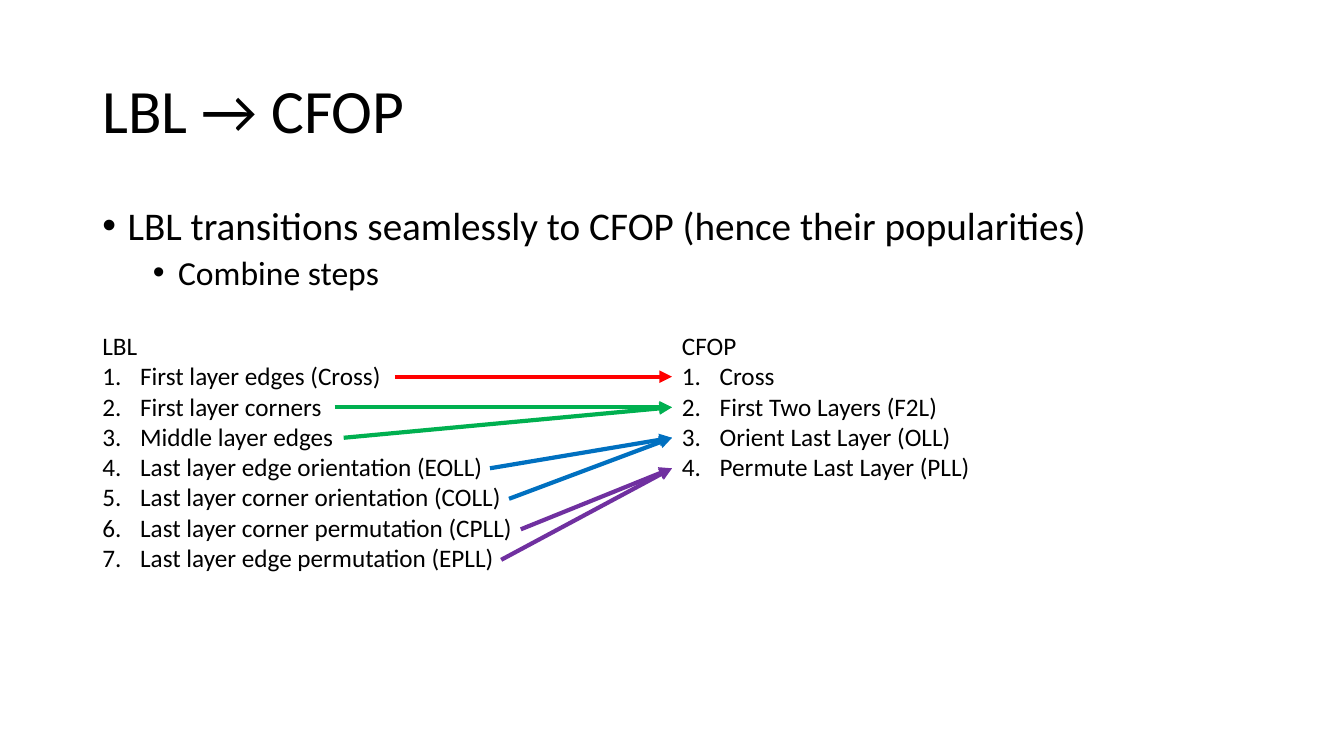
from dataclasses import dataclass

from lxml import etree
from pptx import Presentation
from pptx.dml.color import RGBColor
from pptx.enum.shapes import MSO_CONNECTOR
from pptx.enum.text import MSO_ANCHOR, MSO_AUTO_SIZE, PP_ALIGN
from pptx.oxml.ns import qn
from pptx.util import Pt

STRAIGHT = MSO_CONNECTOR.STRAIGHT
LEFT = PP_ALIGN.LEFT
TOP, MIDDLE = MSO_ANCHOR.TOP, MSO_ANCHOR.MIDDLE
NO_FIT, GROW = MSO_AUTO_SIZE.NONE, MSO_AUTO_SIZE.SHAPE_TO_FIT_TEXT


@dataclass(frozen=True)
class Theme:
    font: str = "Calibri"
    text: str = "000000"
    cross: str = "FF0000"
    two_layers: str = "00B050"
    orient: str = "0070C0"
    permute: str = "7030A0"
    title: int = 44
    body: int = 28
    sub_body: int = 24
    step: int = 18


THEME = Theme()

MARGIN, COLUMN_WIDTH = 66, 414
CFOP_LEFT = MARGIN + COLUMN_WIDTH
STEPS_TOP = 232.56
FIRST_STEP_Y, STEP_PITCH = 269.1, 21.8

# Each LBL step: wording, arrow start x, matching CFOP step, arrow colour
LBL_STEPS = [
    ("First layer edges (Cross)", 282, 1, THEME.cross),
    ("First layer corners", 239, 2, THEME.two_layers),
    ("Middle layer edges", 245.5, 2, THEME.two_layers),
    ("Last layer edge orientation (EOLL)", 350, 3, THEME.orient),
    ("Last layer corner orientation (COLL)", 363.6, 3, THEME.orient),
    ("Last layer corner permutation (CPLL)", 372, 4, THEME.permute),
    ("Last layer edge permutation (EPLL)", 358, 4, THEME.permute),
]
CFOP_STEPS = ["Cross", "First Two Layers (F2L)", "Orient Last Layer (OLL)",
              "Permute Last Layer (PLL)"]


def place(shape, left, top, width, height):
    shape.left, shape.top = Pt(left), Pt(top)
    shape.width, shape.height = Pt(width), Pt(height)


def set_frame(frame, anchor, fit):
    frame.word_wrap = True
    frame.vertical_anchor = anchor
    frame.auto_size = fit


def write(paragraph, wording, size):
    paragraph.alignment = LEFT
    run = paragraph.add_run()
    run.text = wording
    run.font.name = THEME.font
    run.font.size = Pt(size)
    run.font.color.rgb = RGBColor.from_string(THEME.text)


def set_marker(paragraph, tag, margin, hanging, **attributes):
    """Give the paragraph a hanging indent and a bullet or number."""
    properties = paragraph._p.get_or_add_pPr()
    properties.set("marL", str(Pt(margin)))
    properties.set("indent", str(-Pt(hanging)))
    etree.SubElement(properties, qn("a:buFont"), typeface="Arial")
    etree.SubElement(properties, qn(tag), **attributes)


def add_title(slide, wording):
    title = slide.shapes.title
    place(title, MARGIN, 28.8, 828, 104.4)
    set_frame(title.text_frame, MIDDLE, NO_FIT)
    paragraph = title.text_frame.paragraphs[0]
    paragraph.line_spacing = 0.9
    write(paragraph, wording, THEME.title)


def add_body(slide, points):
    """Fill the body placeholder with (wording, level) points."""
    body = slide.placeholders[1]
    place(body, MARGIN, 144, 828, 88.56)
    frame = body.text_frame
    set_frame(frame, TOP, NO_FIT)
    for index, (wording, level) in enumerate(points):
        paragraph = frame.add_paragraph() if index else frame.paragraphs[0]
        paragraph.level = level
        paragraph.line_spacing = 0.9
        paragraph.space_before = Pt(5 if level else 10)
        set_marker(paragraph, "a:buChar", 18 + 36 * level, 18, char="•")
        write(paragraph, wording, THEME.sub_body if level else THEME.body)


def add_steps(slide, left, height, method, steps):
    box = slide.shapes.add_textbox(Pt(left), Pt(STEPS_TOP),
                                   Pt(COLUMN_WIDTH), Pt(height))
    frame = box.text_frame
    set_frame(frame, TOP, GROW)
    write(frame.paragraphs[0], method, THEME.step)
    for step in steps:
        paragraph = frame.add_paragraph()
        set_marker(paragraph, "a:buAutoNum", 27, 27, type="arabicPeriod")
        write(paragraph, step, THEME.step)


def step_y(number):
    return FIRST_STEP_Y + (number - 1) * STEP_PITCH


def add_step_arrow(slide, start_x, lbl_number, cfop_number, color):
    arrow = slide.shapes.add_connector(
        STRAIGHT, Pt(start_x), Pt(step_y(lbl_number)),
        Pt(CFOP_LEFT), Pt(step_y(cfop_number)))
    arrow.line.color.rgb = RGBColor.from_string(color)
    arrow.line.width = Pt(3)
    etree.SubElement(arrow.line._get_or_add_ln(), qn("a:tailEnd"),
                     type="triangle")
    etree.SubElement(arrow._element.spPr, qn("a:effectLst"))


def main():
    deck = Presentation()
    deck.slide_width, deck.slide_height = Pt(960), Pt(540)
    slide = deck.slides.add_slide(deck.slide_layouts[1])

    add_title(slide, "LBL → CFOP")
    add_body(slide, [
        ("LBL transitions seamlessly to CFOP (hence their popularities)", 0),
        ("Combine steps", 1),
    ])
    add_steps(slide, MARGIN, 181.44, "LBL", [step[0] for step in LBL_STEPS])
    add_steps(slide, CFOP_LEFT, 116.64, "CFOP", CFOP_STEPS)
    for lbl_number, (_, start_x, cfop_number, color) in enumerate(LBL_STEPS, 1):
        add_step_arrow(slide, start_x, lbl_number, cfop_number, color)

    deck.save("out.pptx")


if __name__ == "__main__":
    main()
